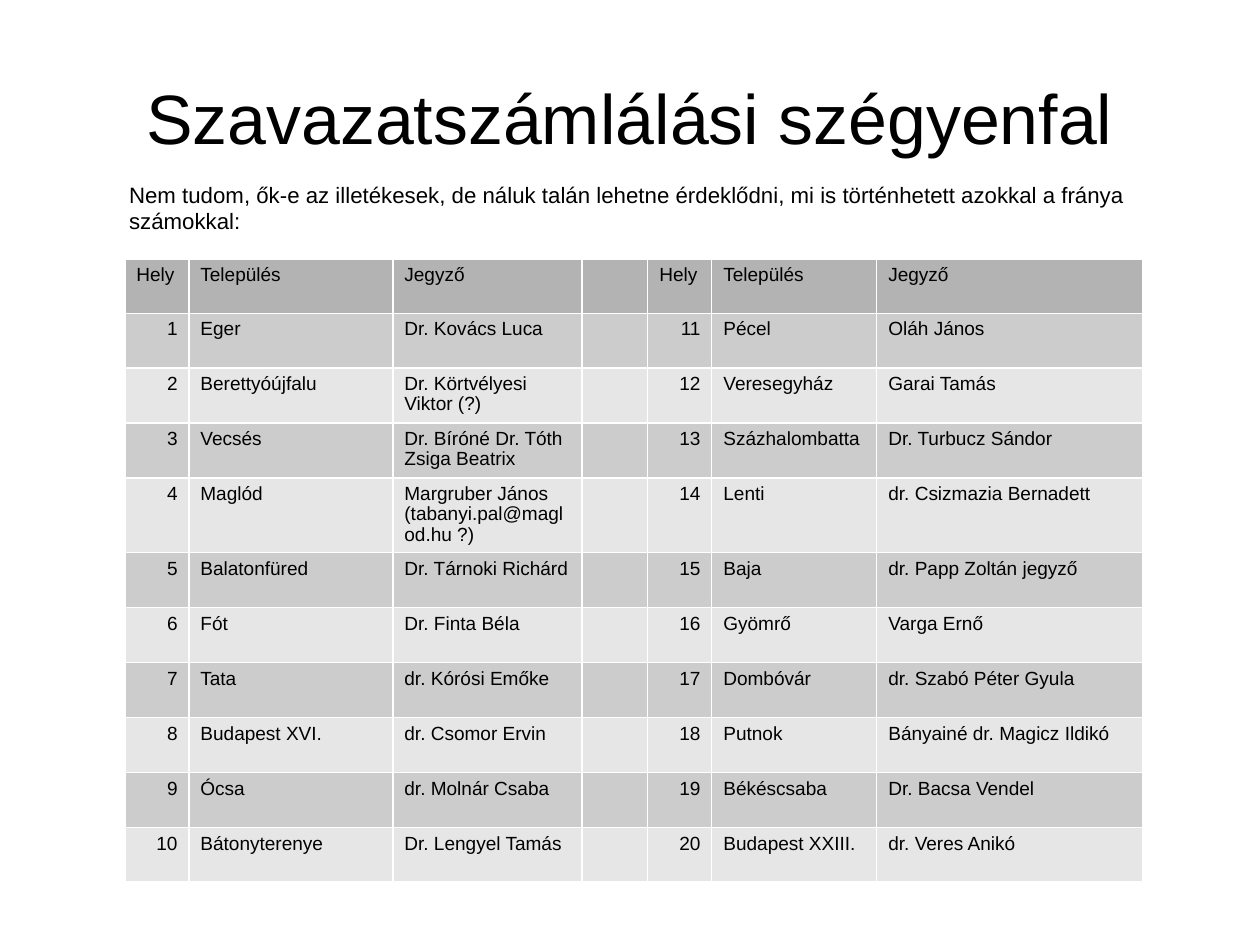
"""Build the vote-count wall of shame slide with its two-part table."""
from dataclasses import dataclass
from lxml import etree
from pptx import Presentation, util as u
from pptx.dml.color import RGBColor
from pptx.enum import text as t
from pptx.oxml import ns

TITLE = "Szavazatszámlálási szégyenfal"
LEAD = ("Nem tudom, ők-e az illetékesek, de náluk talán lehetne érdeklődni, "
        "mi is történhetett azokkal a fránya számokkal:")
HEAD = ("Hely", "Település", "Jegyző")
TOWNS = [
    ("Eger", "Dr. Kovács Luca"),
    ("Berettyóújfalu", "Dr. Körtvélyesi Viktor (?)"),
    ("Vecsés", "Dr. Bíróné Dr. Tóth Zsiga Beatrix"),
    ("Maglód", "Margruber János (tabanyi.pal@maglod.hu ?)"),
    ("Balatonfüred", "Dr. Tárnoki Richárd"),
    ("Fót", "Dr. Finta Béla"),
    ("Tata", "dr. Kórósi Emőke"),
    ("Budapest XVI.", "dr. Csomor Ervin"),
    ("Ócsa", "dr. Molnár Csaba"),
    ("Bátonyterenye", "Dr. Lengyel Tamás"),
    ("Pécel", "Oláh János"),
    ("Veresegyház", "Garai Tamás"),
    ("Százhalombatta", "Dr. Turbucz Sándor"),
    ("Lenti", "dr. Csizmazia Bernadett"),
    ("Baja", "dr. Papp Zoltán jegyző"),
    ("Gyömrő", "Varga Ernő"),
    ("Dombóvár", "dr. Szabó Péter Gyula"),
    ("Putnok", "Bányainé dr. Magicz Ildikó"),
    ("Békéscsaba", "Dr. Bacsa Vendel"),
    ("Budapest XXIII.", "dr. Veres Anikó"),
]
COLS = (64, 204, 189, 66, 64, 165, 266)
ROWS = (54, 55, 55, 55, 75, 55, 55, 55, 55, 55, 54)
PX = 8000


@dataclass(frozen=True)
class Theme:
    font: str = "Arial"
    ink: str = "000000"
    rule: str = "FFFFFF"
    head: str = "B3B3B3"
    bands: tuple = ("E6E6E6", "CCCCCC")
    title: int = 44
    lead: int = 14
    cell: int = 12


LOOK = Theme()


def apply(item, form):
    for key, val in form.items():
        setattr(item, key, val)


def write(frame, words, size, **form):
    para = frame.paragraphs[0]
    run = para.add_run()
    run.text = words
    apply(para, form)
    apply(run.font, {"name": LOOK.font, "size": u.Pt(size), "bold": False})
    run.font.color.rgb = RGBColor.from_string(LOOK.ink)
    return para


def place(shape, left, top, width, height, anchor):
    apply(shape, {"left": left * PX, "top": top * PX,
                  "width": width * PX, "height": height * PX})
    apply(shape.text_frame, {
        "margin_left": 0, "margin_top": 0, "margin_right": 0, "margin_bottom": 0,
        "word_wrap": True, "auto_size": t.MSO_AUTO_SIZE.NONE,
        "vertical_anchor": anchor})
    return shape.text_frame


def paint(cell, color):
    cell.fill.solid()
    cell.fill.fore_color.rgb = RGBColor.from_string(color)
    props = cell._tc.get_or_add_tcPr()
    for spot, side in enumerate(("lnL", "lnR", "lnT", "lnB")):
        line = etree.Element(ns.qn(f"a:{side}"), w=str(u.Pt(0.75)))
        fill = etree.SubElement(line, ns.qn("a:solidFill"))
        etree.SubElement(fill, ns.qn("a:srgbClr"), val=LOOK.rule)
        props.insert(spot, line)


def main():
    deck = Presentation()
    apply(deck, {"slide_width": 1260 * PX, "slide_height": 945 * PX})
    slide = deck.slides.add_slide(deck.slide_layouts[1])
    title, lead = slide.placeholders

    frame = place(title, 63, 38, 1134, 158, t.MSO_ANCHOR.MIDDLE)
    write(frame, TITLE, LOOK.title, alignment=t.PP_ALIGN.CENTER)

    frame = place(lead, 72, 181, 1089, 62, t.MSO_ANCHOR.TOP)
    para = write(frame, LEAD, LOOK.lead, space_before=u.Pt(0))
    props = para._p.get_or_add_pPr()
    apply_xml = {"marL": str(57 * PX), "indent": "0"}
    for key, val in apply_xml.items():
        props.set(key, val)
    etree.SubElement(props, ns.qn("a:buNone"))

    ranks = [(str(place), *town) for place, town in enumerate(TOWNS, 1)]
    half = len(ranks) // 2
    pairs = [(HEAD, HEAD), *zip(ranks[:half], ranks[half:])]
    grid = [(*left, "", *right) for left, right in pairs]

    table = slide.shapes.add_table(
        len(ROWS), len(COLS), 125 * PX, 259 * PX,
        sum(COLS) * PX, sum(ROWS) * PX).table
    apply(table, {"first_row": False, "horz_banding": False})
    for col, width in zip(table.columns, COLS):
        col.width = width * PX
    for row, height in zip(table.rows, ROWS):
        row.height = height * PX
    for r, line in enumerate(grid):
        for c, words in enumerate(line):
            cell = table.cell(r, c)
            paint(cell, LOOK.bands[r % 2] if r else LOOK.head)
            if words:
                side = t.PP_ALIGN.RIGHT if words.isdigit() else t.PP_ALIGN.LEFT
                write(cell.text_frame, words, LOOK.cell,
                      alignment=side, line_spacing=0.97)

    deck.save("out.pptx")


if __name__ == "__main__":
    main()
